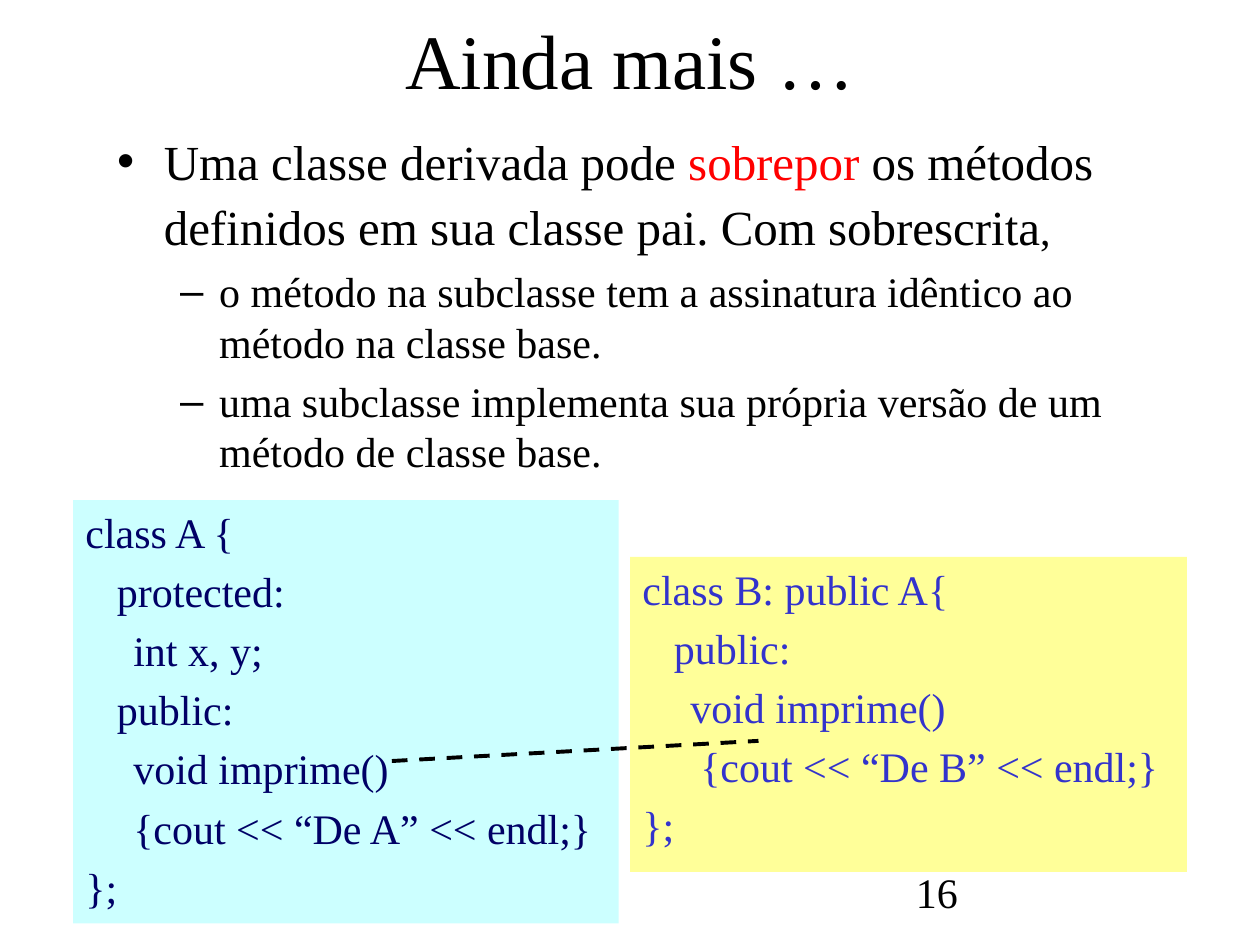
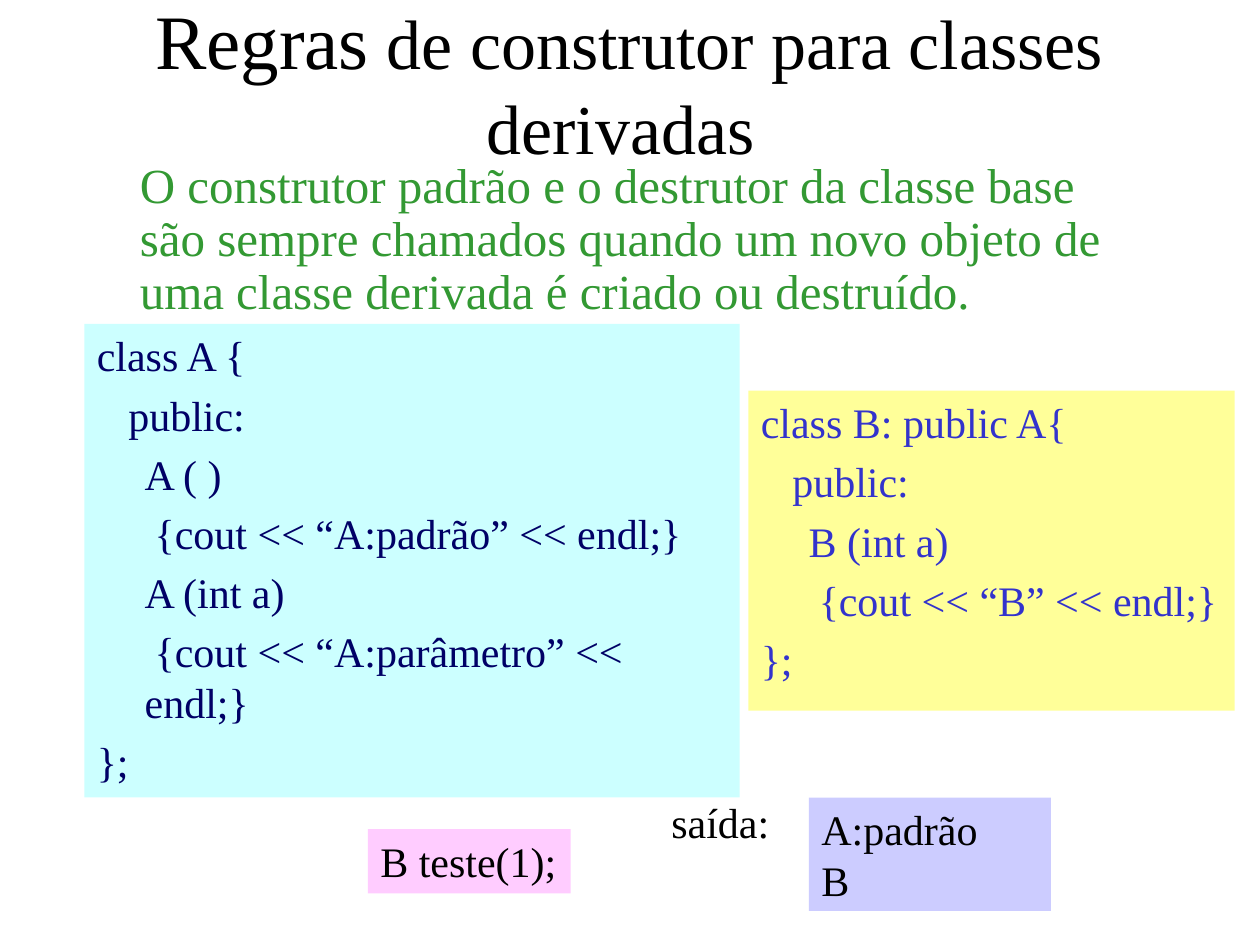
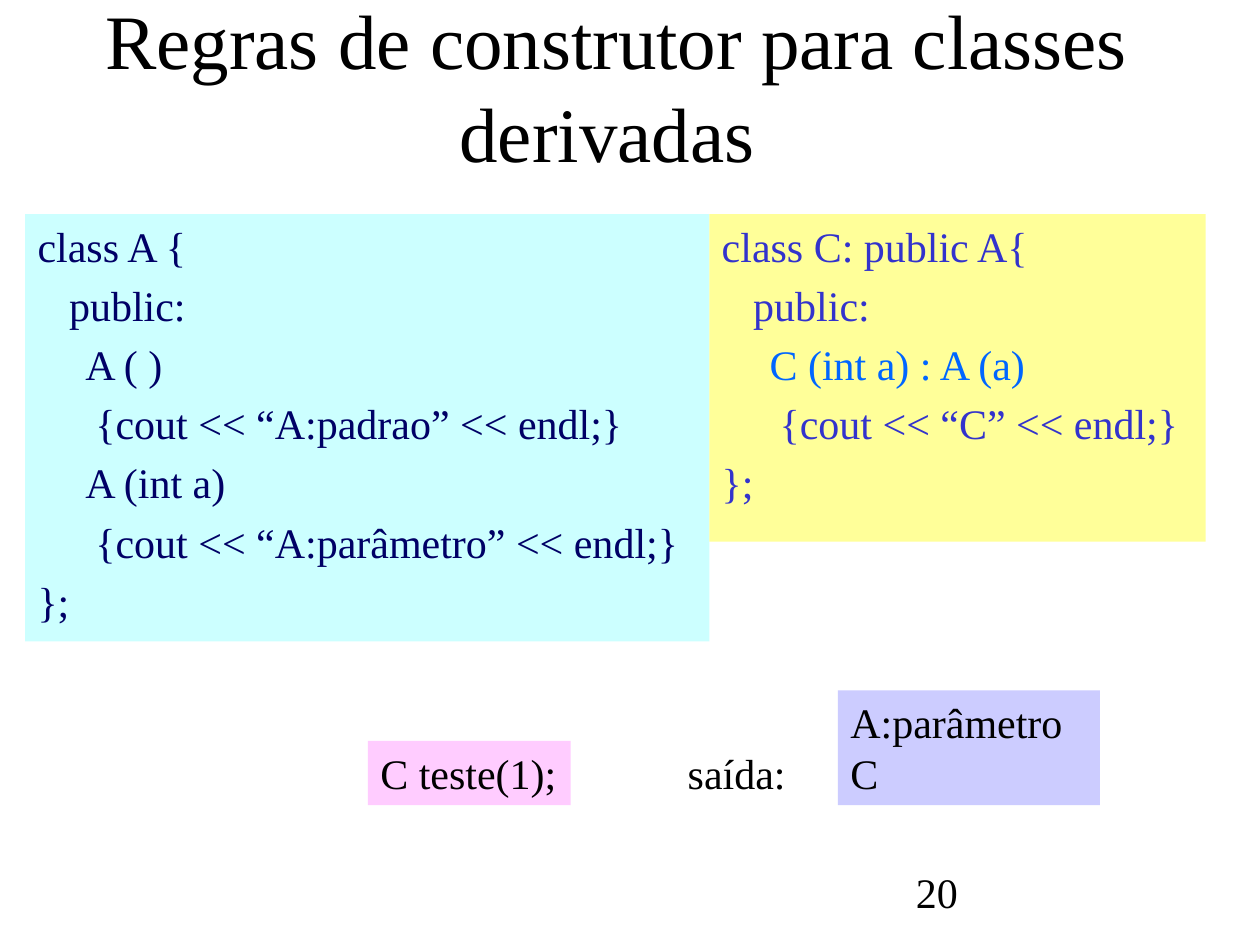
"""Builds three slides on overriding and constructors in derived C++ classes."""
from lxml import etree
from pptx import Presentation
from pptx.dml.color import RGBColor
from pptx.enum import dml, shapes, text
from pptx.oxml import ns
from pptx.util import Inches, Pt

FONT = "Times New Roman"
COLORS = {
    "black": "000000", "red": "FF0000", "green": "339933",
    "navy": "000066", "blue": "3333CC", "azure": "0066FF",
    "cyan": "CCFFFF", "yellow": "FFFF99", "pink": "FFCCFF", "lilac": "CCCCFF",
}
BULLETS = {"margin": 0.37, "indent": -0.37, "before": 8, "size": 28}
SUB_BULLETS = {"level": 1, "margin": 0.81, "indent": -0.31, "before": 5}
PLAIN = {"margin": 0.38, "indent": 0, "before": 6, "size": 28, "spacing": 0.9,
         "color": "green", "bullet": False}
CODE_INDENTS = {"class": (0, 0), "access": (0.25, 0),
                "member": (0.38, 0), "block": (0.38, 0.08)}
CODE_STYLES = {"base": ("cyan", "navy"), "derived": ("yellow", "blue")}


def derived_code(name, signature, message):
    return [("class", f"class {name}: public A{{"), ("access", "public:"),
            ("member", signature),
            ("block", f"{{cout << “{message}” << endl;}}"), ("class", "};")]


def constructors_code(default):
    return [("class", "class A {"), ("access", "public:"),
            ("member", "A ( )"),
            ("block", f"{{cout << “A:{default}” << endl;}}"),
            ("member", "A (int a)"),
            ("block", "{cout << “A:parâmetro” << endl;}"), ("class", "};")]


SLIDES = [
    {
        "title": "Ainda mais …",
        "title_box": (0.75, 0.13, 8.5, 0.67),
        "anchor": text.MSO_ANCHOR.MIDDLE,
        "number": "16",
        "body_box": (0.83, 0.99, 8.5, 2.78),
        "body": [
            ([("Uma classe derivada pode ", {}), ("sobrepor ", {"color": "red"}),
              ("os métodos definidos em sua classe pai. Com sobrescrita", {}),
              (",", {"size": 24}), (" ", {"size": 32})], BULLETS),
            ("o método na subclasse tem a assinatura idêntico ao "
             "método na classe base.", SUB_BULLETS),
            ("uma subclasse implementa sua própria versão de um "
             "método de classe base.", SUB_BULLETS),
        ],
        "code": [
            ("base", (0.58, 3.97, 4.33, 3.36), [
                ("class", "class A {"), ("access", "protected:"),
                ("member", "int x, y;"), ("access", "public:"),
                ("member", "void imprime()"),
                ("member", "{cout << “De A” << endl;}"), ("class", "};")]),
            ("derived", (5, 4.42, 4.42, 2.5),
             derived_code("B", "void imprime()", "De B")),
        ],
        "override_line": (3.11, 6.04, 6.02, 5.88),
    },
    {
        "title": [("Regras", {}),
                  (" de construtor para classes derivadas ", {"size": 40})],
        "title_box": (0.1, 0.14, 9.79, 1.25),
        "body_box": (0.63, 1.23, 8.23, 1.25),
        "body": [("O construtor padrão e o destrutor da classe base são sempre "
                  "chamados quando um novo objeto de uma classe derivada é "
                  "criado ou destruído.", PLAIN)],
        "code": [
            ("base", (0.67, 2.57, 5.2, 3.76), constructors_code("padrão")),
            ("derived", (5.94, 3.1, 3.86, 2.54),
             derived_code("B", "B (int a)", "B")),
        ],
        "call": ("B teste(1);", (2.92, 6.58, 1.61, 0.51)),
        "output": (["A:padrão", "B"], (6.42, 6.33, 1.92, 0.9)),
        "output_label": (5.23, 6.27, 0.98, 0.51),
    },
    {
        "title": "Regras de construtor para classes derivadas ",
        "title_box": (0, 0.28, 9.79, 1.18),
        "number": "20",
        "code": [
            ("base", (0.2, 1.7, 5.43, 3.39), constructors_code("padrao")),
            ("derived", (5.63, 1.7, 3.94, 2.6),
             derived_code("C", [("C (int a) : A (a)", {"color": "azure"})], "C")),
        ],
        "call": ("C teste(1);", (2.92, 5.88, 1.61, 0.51)),
        "output": (["A:parâmetro", "C"], (6.65, 5.48, 2.08, 0.91)),
        "output_label": (5.36, 5.88, 0.98, 0.51),
    },
]


def rgb(name):
    return RGBColor.from_string(COLORS[name])


def add_text(p, content, size=24, color="black", align=text.PP_ALIGN.LEFT,
             level=0, margin=0, indent=0, before=0, spacing=None, bullet=True):
    p.level, p.alignment, p.space_before = level, align, Pt(before)
    if spacing:
        p.line_spacing = spacing
    pPr = p._p.get_or_add_pPr()
    pPr.set("marL", str(Inches(margin)))
    pPr.set("indent", str(Inches(indent)))
    if not bullet:
        etree.SubElement(pPr, ns.qn("a:buNone"))
    runs = [(content, {})] if isinstance(content, str) else content
    for words, own in runs:
        r = p.add_run()
        r.text = words
        r.font.name = FONT
        r.font.size = Pt(own.get("size", size))
        r.font.color.rgb = rgb(own.get("color", color))


def fill_frame(tf, paragraphs, anchor=text.MSO_ANCHOR.TOP, wrap=True):
    tf.word_wrap, tf.auto_size = wrap, text.MSO_AUTO_SIZE.NONE
    tf.vertical_anchor = anchor
    for i, (content, fmt) in enumerate(paragraphs):
        p = tf.add_paragraph() if i else tf.paragraphs[0]
        add_text(p, content, **fmt)


def place(sp, box):
    sp.left, sp.top, sp.width, sp.height = map(Inches, box)


def add_panel(s, box, fill, paragraphs, wrap=True):
    sp = s.shapes.add_shape(shapes.MSO_SHAPE.RECTANGLE, *map(Inches, box))
    sp.shadow.inherit = False
    sp.fill.solid()
    sp.fill.fore_color.rgb = rgb(fill)
    sp.line.fill.background()
    fill_frame(sp.text_frame, paragraphs, wrap=wrap)


def add_label(s, box, words, wrap=True):
    sp = s.shapes.add_textbox(*map(Inches, box))
    fill_frame(sp.text_frame, [(words, {})], wrap=wrap)


def add_code(s, style, box, lines):
    fill, color = CODE_STYLES[style]
    paragraphs = []
    for kind, content in lines:
        margin, indent = CODE_INDENTS[kind]
        paragraphs.append((content, {"color": color, "margin": margin,
                                     "indent": indent, "before": 5}))
    add_panel(s, box, fill, paragraphs)


def add_dashed_line(s, ends):
    line = s.shapes.add_connector(shapes.MSO_CONNECTOR.STRAIGHT,
                                  *map(Inches, ends))
    line.line.color.rgb = rgb("black")
    line.line.width = Pt(2.25)
    line.line.dash_style = dml.MSO_LINE.DASH
    etree.SubElement(line._element.spPr, ns.qn("a:effectLst"))


def build_slide(prs, data):
    s = prs.slides.add_slide(prs.slide_layouts[1 if "body" in data else 5])
    if "number" in data:
        add_label(s, (7.17, 6.83, 2.08, 0.5), data["number"])
    title = s.shapes.title
    place(title, data["title_box"])
    fill_frame(title.text_frame,
               [(data["title"], {"size": 44, "align": text.PP_ALIGN.CENTER})],
               anchor=data.get("anchor", text.MSO_ANCHOR.BOTTOM))
    if "body" in data:
        body = s.placeholders[1]
        place(body, data["body_box"])
        fill_frame(body.text_frame, data["body"])
    for style, box, lines in data["code"]:
        add_code(s, style, box, lines)
    if "override_line" in data:
        add_dashed_line(s, data["override_line"])
    if "call" in data:
        call, call_box = data["call"]
        add_panel(s, call_box, "pink", [(call, {})], wrap=False)
        output, output_box = data["output"]
        add_panel(s, output_box, "lilac", [(line, {}) for line in output])
        add_label(s, data["output_label"], "saída:", wrap=False)


def main():
    prs = Presentation()
    prs.slide_width, prs.slide_height = Inches(10), Inches(7.5)
    for data in SLIDES:
        build_slide(prs, data)
    prs.save("out.pptx")


if __name__ == "__main__":
    main()
